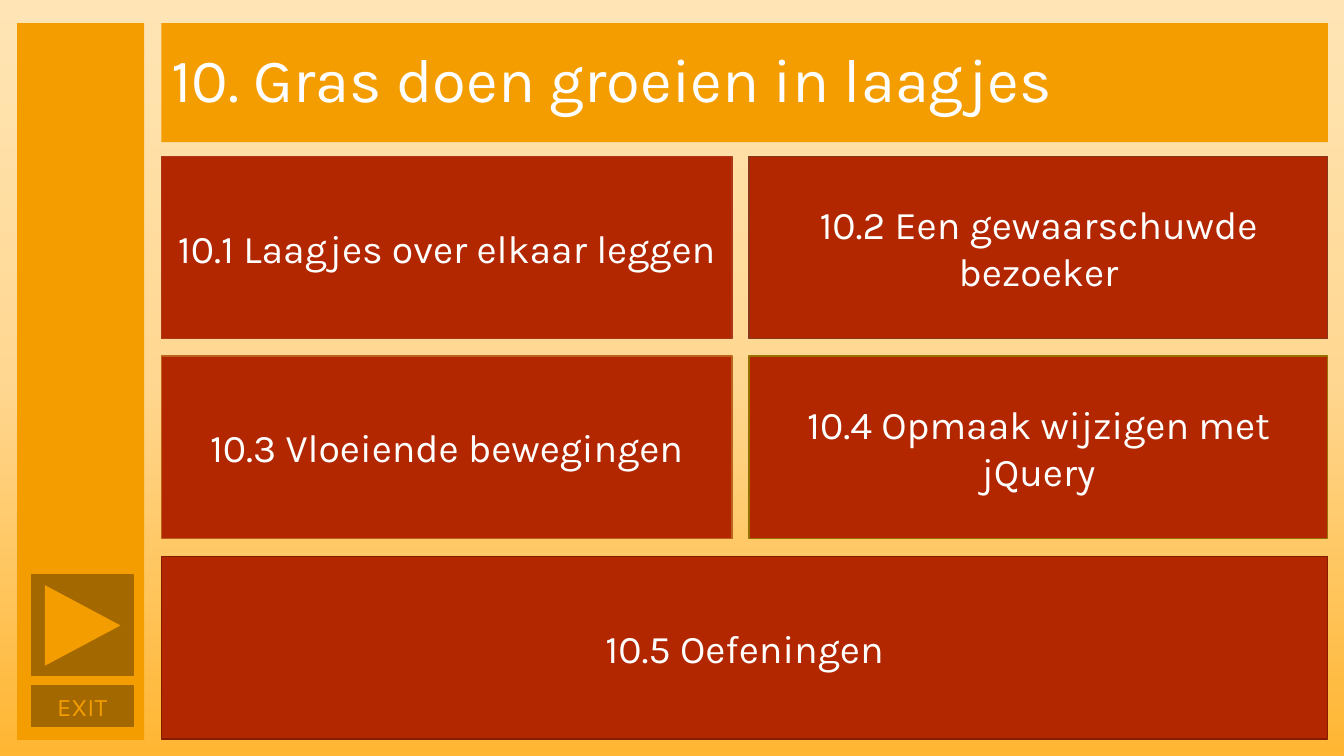
"""Build the chapter menu slide "Gras doen groeien in laagjes"."""
from copy import deepcopy

from pptx import Presentation
from pptx.dml.color import RGBColor
from pptx.enum.shapes import MSO_SHAPE as SHAPE
from pptx.enum.text import MSO_ANCHOR as ANCHOR, PP_ALIGN as ALIGN
from pptx.oxml.ns import qn
from pptx.util import Inches, Pt

WHITE = RGBColor(0xFF, 0xFF, 0xFF)
ORANGE = RGBColor(0xF4, 0x9D, 0x00)
BROWN = RGBColor(0xA3, 0x69, 0x00)
RED = RGBColor(0xB2, 0x26, 0x00)
BACKGROUND_STOPS = [
    (0, RGBColor(0xFF, 0xE5, 0xB5)),
    (0.5, RGBColor(0xFF, 0xD7, 0x91)),
    (1, RGBColor(0xFF, 0xB6, 0x33)),
]
LEFT, RIGHT = 1.6, 7.43
LEFT_WIDTH, RIGHT_WIDTH, FULL_WIDTH = 5.66, 5.74, 11.57
ROWS = [1.55, 3.53, 5.52]
TILE_HEIGHT = 1.81


def add_block(left, top, width, height, fill, line=None, kind=SHAPE.RECTANGLE):
    shape = slide.shapes.add_shape(
        kind, Inches(left), Inches(top), Inches(width), Inches(height))
    shape.shadow.inherit = False
    shape.fill.solid()
    shape.fill.fore_color.rgb = fill
    if line is None:
        shape.line.fill.background()
    else:
        shape.line.color.rgb = line
        shape.line.width = Pt(1)
    return shape


def write_text(shape, text, size, color, alignment=ALIGN.CENTER):
    frame = shape.text_frame
    frame.word_wrap = True
    frame.vertical_anchor = ANCHOR.MIDDLE
    paragraph = frame.paragraphs[0]
    paragraph.text = text
    paragraph.alignment = alignment
    paragraph.font.name = "Karla"
    paragraph.font.size = Pt(size)
    paragraph.font.color.rgb = color
    return paragraph


presentation = Presentation()
presentation.slide_width = Inches(13.33)
presentation.slide_height = Inches(7.5)
slide = presentation.slides.add_slide(presentation.slide_layouts[6])

background = slide.background.fill
background.gradient()
background.gradient_angle = 270
stop_list = next(slide.element.iter(qn("a:gsLst")))
stop_list.append(deepcopy(stop_list[-1]))
for stop, (position, color) in zip(background.gradient_stops, BACKGROUND_STOPS):
    stop.position = position
    stop.color.rgb = color

title_bar = add_block(LEFT, 0.23, FULL_WIDTH, 1.18, ORANGE)
title = write_text(title_bar, "10. Gras doen groeien in laagjes", 44, WHITE, ALIGN.LEFT)
title.line_spacing = 0.9

add_block(0.17, 0.23, 1.26, 7.11, ORANGE)
exit_button = add_block(0.31, 6.8, 1.01, 0.41, BROWN, BROWN)
write_text(exit_button, "EXIT", 18, ORANGE)
add_block(0.31, 5.7, 1.01, 1, BROWN, BROWN)
play_arrow = add_block(0.42, 5.83, 0.8, 0.75, ORANGE, kind=SHAPE.ISOSCELES_TRIANGLE)
play_arrow.rotation = 90

tiles = [
    ("10.1 Laagjes over elkaar leggen", LEFT, 0, LEFT_WIDTH, RGBColor(0xAC, 0x38, 0x19)),
    ("10.2 Een gewaarschuwde bezoeker", RIGHT, 0, RIGHT_WIDTH, RGBColor(0x87, 0x36, 0x1C)),
    ("10.3 Vloeiende bewegingen", LEFT, 1, LEFT_WIDTH, RGBColor(0xBD, 0x62, 0x1D)),
    ("10.4 Opmaak wijzigen met jQuery", RIGHT, 1, RIGHT_WIDTH, RGBColor(0x97, 0x71, 0x00)),
    ("10.5 Oefeningen", LEFT, 2, FULL_WIDTH, RGBColor(0x84, 0x1C, 0x00)),
]
for text, left, row, width, border in tiles:
    tile = add_block(left, ROWS[row], width, TILE_HEIGHT, RED, border)
    write_text(tile, text, 28, WHITE)

presentation.save("out.pptx")
